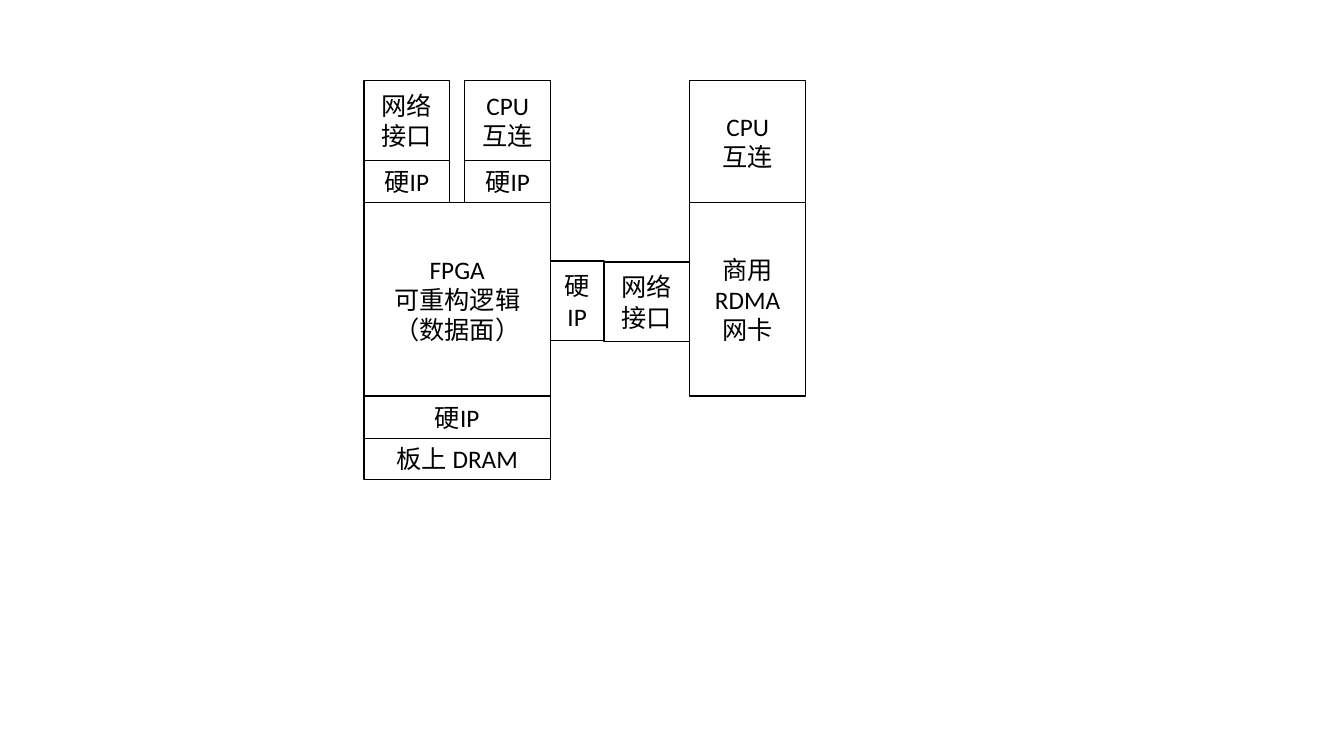
"""Build a slide of an FPGA card linked to a commercial RDMA network card."""
from dataclasses import dataclass

from pptx import Presentation
from pptx.dml.color import RGBColor
from pptx.enum.shapes import MSO_SHAPE
from pptx.enum.text import MSO_ANCHOR, PP_ALIGN
from pptx.util import Pt

RECT = MSO_SHAPE.RECTANGLE
MIDDLE = MSO_ANCHOR.MIDDLE
CENTER = PP_ALIGN.CENTER
PX = 9144


@dataclass(frozen=True)
class Theme:
    fill: RGBColor = RGBColor(255, 255, 255)
    ink: RGBColor = RGBColor(0, 0, 0)
    font: str = "Calibri"
    size: Pt = Pt(18)
    line: Pt = Pt(1)


theme = Theme()

prs = Presentation()
prs.slide_width, prs.slide_height = 1333 * PX, 750 * PX
s = prs.slides.add_slide(prs.slide_layouts[6])

FPGA_X, FPGA_W = 361, 185
NIC_X, NIC_W = 684, 115
PORT_W, PORT_H = 85, 79
IP_W, IP_H = 53, 42
TOP, CORE_Y, CORE_H = 80, 201, 192
FPGA_RIGHT = FPGA_X + FPGA_W
CPU_X = FPGA_RIGHT - PORT_W
IP_Y = CORE_Y - IP_H
CORE_BOTTOM = CORE_Y + CORE_H
LINK_Y = 260

blocks = [
    (FPGA_X, CORE_Y, FPGA_W, CORE_H, [["FPGA"], ["可重构逻辑", "（数据面）"]]),
    (NIC_X, CORE_Y, NIC_W, CORE_H, [["商用"], ["RDMA", "网卡"]]),
    (FPGA_X, CORE_BOTTOM + IP_H - 1, FPGA_W, IP_H, [["板上 DRAM"]]),
    (CPU_X, TOP, PORT_W, PORT_H, [["CPU 互连"]]),
    (FPGA_RIGHT + IP_W, LINK_Y, PORT_W, PORT_H, [["网络接口"]]),
    (FPGA_X, IP_Y, PORT_W, IP_H, [["硬IP"]]),
    (CPU_X, IP_Y, PORT_W, IP_H, [["硬IP"]]),
    (FPGA_X, CORE_BOTTOM, FPGA_W, IP_H, [["硬IP"]]),
    (FPGA_RIGHT, LINK_Y - 1, IP_W, PORT_H, [["硬IP"]]),
    (NIC_X, TOP, NIC_W, CORE_Y - TOP, [["CPU"], ["互连"]]),
    (FPGA_X, TOP, PORT_W, PORT_H, [["网络接口"]]),
]

for x, y, w, h, paragraphs in blocks:
    sp = s.shapes.add_shape(RECT, x * PX, y * PX, w * PX, h * PX)
    sp.shadow.inherit = False
    sp.fill.solid()
    sp.fill.fore_color.rgb = theme.fill
    sp.line.color.rgb = theme.ink
    sp.line.width = theme.line
    tf = sp.text_frame
    tf.word_wrap = True
    tf.vertical_anchor = MIDDLE
    for i, lines in enumerate(paragraphs):
        p = tf.add_paragraph() if i else tf.paragraphs[0]
        p.alignment = CENTER
        for j, text in enumerate(lines):
            if j:
                p.add_line_break()
            r = p.add_run()
            r.text = text
            r.font.name = theme.font
            r.font.size = theme.size
            r.font.color.rgb = theme.ink

prs.save("out.pptx")
